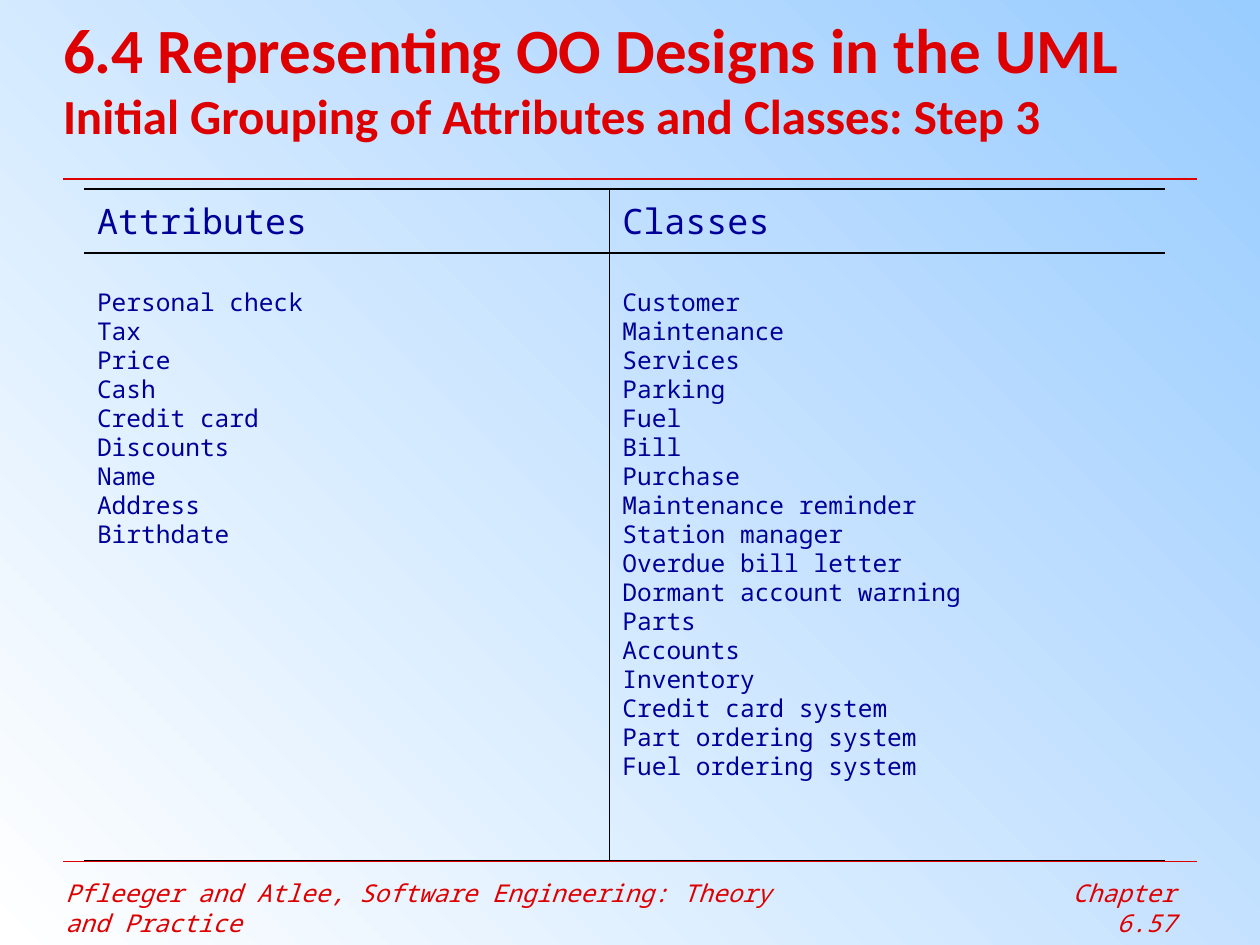
from lxml.etree import SubElement
from pptx import Presentation
from pptx.dml.color import RGBColor
from pptx.enum.shapes import MSO_CONNECTOR as Connector
from pptx.enum.text import MSO_ANCHOR as Anchor, PP_ALIGN as Align
from pptx.oxml.ns import qn
from pptx.util import Inches, Pt

RED = RGBColor(0xDE, 0x00, 0x00)
NAVY = RGBColor(0x00, 0x00, 0x99)
WHITE = RGBColor(0xFF, 0xFF, 0xFF)
SKY = RGBColor(0x99, 0xCC, 0xFF)
BLACK = RGBColor(0x00, 0x00, 0x00)
MONO = "Noto Sans Mono"
PLAIN_TABLE = "{2D5ABB26-0587-4C30-8999-92F81FD0307C}"

deck = Presentation()
deck.slide_width, deck.slide_height = Inches(10), Inches(7.5)
slide = deck.slides.add_slide(deck.slide_layouts[6])


def area(*percents):
    """Turn alternating shares of slide width and height into lengths."""
    sides = (deck.slide_width, deck.slide_height) * 2
    return [round(side * share / 100) for side, share in zip(sides, percents)]


def add_run(paragraph, text, size, color, font=MONO, bold=False, italic=False):
    run = paragraph.add_run()
    run.text = text
    run.font.name, run.font.size = font, Pt(size)
    run.font.bold, run.font.italic = bold, italic
    run.font.color.rgb = color


# Background: white at lower left to sky blue at upper right
backdrop = slide.background.fill
backdrop.gradient()
backdrop.gradient_angle = 45
for stop, color in zip(backdrop.gradient_stops, (WHITE, SKY)):
    stop.color.rgb = color

# Footer
for place, words, align in (
    ((4.2, 92.27, 60, 4.53),
     "Pfleeger and Atlee, Software Engineering: Theory and Practice", Align.LEFT),
    ((78.4, 92.27, 15.9, 4.93), "Chapter 6.57", Align.RIGHT),
):
    footer = slide.shapes.add_textbox(*area(*place)).text_frame
    footer.word_wrap = True
    footer.paragraphs[0].alignment = align
    add_run(footer.paragraphs[0], words, 14, RED, italic=True)

# Rules under the title and above the footer
for height, weight in ((18.93, 1.5), (91.13, 0.75)):
    rule = slide.shapes.add_connector(
        Connector.STRAIGHT, *area(5, height, 95, height))
    rule.line.color.rgb, rule.line.width = RED, Pt(weight)
    SubElement(rule._element.spPr, qn("a:effectLst"))

# Title
title = slide.shapes.add_textbox(*area(5, 0, 92.5, 16.4)).text_frame
title.word_wrap = True
title.vertical_anchor = Anchor.MIDDLE
title.margin_left = title.margin_right = title.margin_top = title.margin_bottom = 0
heading = title.paragraphs[0]
add_run(heading, "6.4 Representing OO Designs in the UML", 36, RED, "Calibri", bold=True)
heading.add_line_break()
add_run(heading, "Initial Grouping of Attributes and Classes: Step 3", 28, RED,
        "Calibri", bold=True)

# Table of attributes and classes
groups = {
    "Attributes": ["Personal check", "Tax", "Price", "Cash", "Credit card",
                   "Discounts", "Name", "Address", "Birthdate"],
    "Classes": ["Customer", "Maintenance", "Services", "Parking", "Fuel", "Bill",
                "Purchase", "Maintenance reminder", "Station manager",
                "Overdue bill letter", "Dormant account warning", "Parts",
                "Accounts", "Inventory", "Credit card system",
                "Part ordering system", "Fuel ordering system"],
}
frame = slide.shapes.add_table(2, 2, *area(6.7, 20, 85.8, 71.07))
table = frame.table
table.first_row = table.horz_banding = False
table._tbl.tblPr.find(qn("a:tableStyleId")).text = PLAIN_TABLE
for column, width in zip(table.columns, (4.17, 4.41)):
    column.width = Inches(width)
for row, height in zip(table.rows, (0.51, 4.82)):
    row.height = Inches(height)

for col, (group, members) in enumerate(groups.items()):
    for row, (entries, size, top, anchor) in enumerate((
        ([group], 20, 0.15, Anchor.MIDDLE),
        (members, 14, 0.36, Anchor.TOP),
    )):
        cell = table.cell(row, col)
        cell.margin_top = Inches(top)
        cell.vertical_anchor = anchor
        for index, entry in enumerate(entries):
            words = cell.text_frame
            line = words.add_paragraph() if index else words.paragraphs[0]
            line.line_spacing = 0.5
            line.space_before = Pt(7 if index else 0)
            add_run(line, entry, size, NAVY)

        # Horizontal borders, and one divider between the columns
        properties = cell._tc.get_or_add_tcPr()
        divider = "lnL" if col else "lnR"
        for edge in ("lnL", "lnR", "lnT", "lnB"):
            if edge in (divider, "lnT", "lnB"):
                weight = Pt(0.45 if edge == divider else 1.08)
                border = SubElement(properties, qn(f"a:{edge}"), w=str(weight))
                ink = SubElement(border, qn("a:solidFill"))
                SubElement(ink, qn("a:srgbClr"), val=str(BLACK))
        cell.fill.background()

deck.save("out.pptx")
